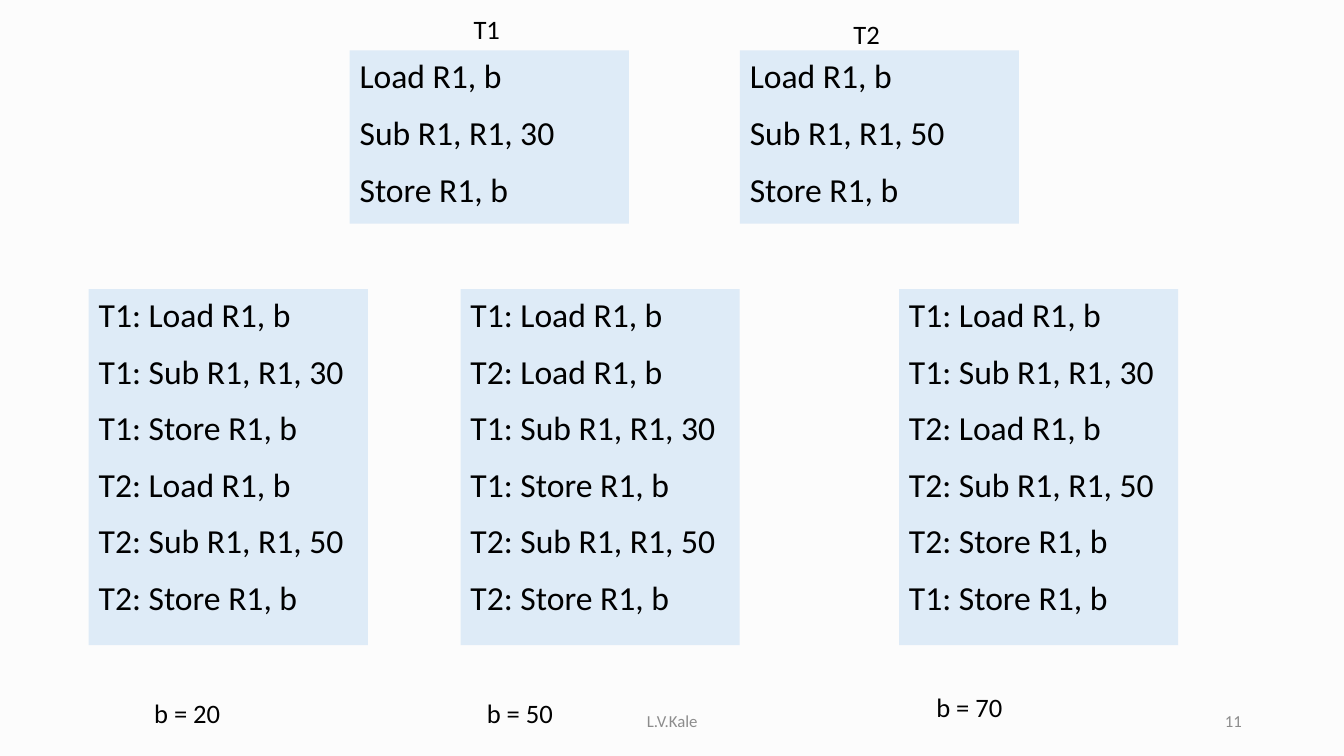
from dataclasses import dataclass

from pptx import Presentation
from pptx.dml.color import RGBColor as RGB
from pptx.enum.shapes import MSO_SHAPE as Shape
from pptx.enum.text import MSO_ANCHOR as Anchor, PP_ALIGN as Align
from pptx.util import Pt

WIDTH = 199.4
BOX_TOP = 206.6
FORMATS = {
    "code": {"name": "Calibri", "size": Pt(24)},
    "label": {"name": "Calibri", "size": Pt(19)},
    "footer": {"name": "Calibri", "size": Pt(12)},
}
COLORS = {"code": "000000", "label": "000000", "footer": "8C8C8C"}


@dataclass
class Block:
    left: float
    top: float
    height: float
    lines: list[str]


@dataclass
class Note:
    text: str
    left: float
    top: float
    width: float
    height: float = 30.2
    style: str = "label"
    align: Align = Align.LEFT
    anchor: Anchor = Anchor.TOP


def paint(target, color: str) -> None:
    """Set a solid colour on a fill or a font."""
    if hasattr(target, "solid"):
        target.solid()
        target.fore_color.rgb = RGB.from_string(color)
    else:
        target.color.rgb = RGB.from_string(color)


def write(frame, lines: list[str], style: str, align: Align = Align.LEFT) -> None:
    frame.word_wrap = True
    for i, line in enumerate(lines):
        para = frame.paragraphs[0] if i == 0 else frame.add_paragraph()
        para.alignment = align
        if i:
            para.space_before = Pt(11.6)
        run = para.add_run()
        run.text = line
        for key, value in FORMATS[style].items():
            setattr(run.font, key, value)
        paint(run.font, COLORS[style])


def draw_block(slide, block: Block) -> None:
    box = slide.shapes.add_shape(
        Shape.RECTANGLE, Pt(block.left), Pt(block.top), Pt(WIDTH), Pt(block.height))
    box.shadow.inherit = False
    box.line.fill.background()
    paint(box.fill, "DEEBF7")
    box.text_frame.vertical_anchor = Anchor.TOP
    write(box.text_frame, block.lines, "code")


def draw_note(slide, note: Note) -> None:
    box = slide.shapes.add_textbox(
        Pt(note.left), Pt(note.top), Pt(note.width), Pt(note.height))
    box.text_frame.vertical_anchor = note.anchor
    write(box.text_frame, [note.text], note.style, note.align)


def steps(amount: int) -> list[str]:
    return ["Load R1, b", f"Sub R1, R1, {amount}", "Store R1, b"]


def merge(order: str) -> list[str]:
    """Interleave both threads; each digit names the thread that runs next."""
    queues = {"1": iter(steps(30)), "2": iter(steps(50))}
    return [f"T{thread}: {next(queues[thread])}" for thread in order]


def main() -> None:
    deck = Presentation()
    deck.slide_width, deck.slide_height = Pt(960), Pt(540)
    slide = deck.slides.add_slide(deck.slide_layouts[6])
    paint(slide.background.fill, "FCFCFC")

    runs = [(63.4, "111222"), (329, "121122"), (642.2, "112221")]
    threads = [(249.8, 30), (528.5, 50)]
    blocks = [Block(left, BOX_TOP, 254.2, merge(order)) for left, order in runs]
    blocks += [Block(left, 36, 123.8, steps(amount)) for left, amount in threads]
    for block in blocks:
        draw_block(slide, block)

    notes = [
        Note("T1", 331.2, 5.8, 50.4),
        Note("T2", 602.6, 9.4, 50.4),
        Note("b = 20", 103, 494.6, 82.8),
        Note("b = 50", 340.6, 494.6, 82.8),
        Note("b = 70", 661.7, 490.3, 82.8),
        Note("L.V.Kale", 318.2, 500.4, 324, 28.8, "footer", Align.CENTER, Anchor.MIDDLE),
        Note("11", 678.2, 500.4, 216, 28.8, "footer", Align.RIGHT, Anchor.MIDDLE),
    ]
    for note in notes:
        draw_note(slide, note)
    deck.save("out.pptx")


if __name__ == "__main__":
    main()
